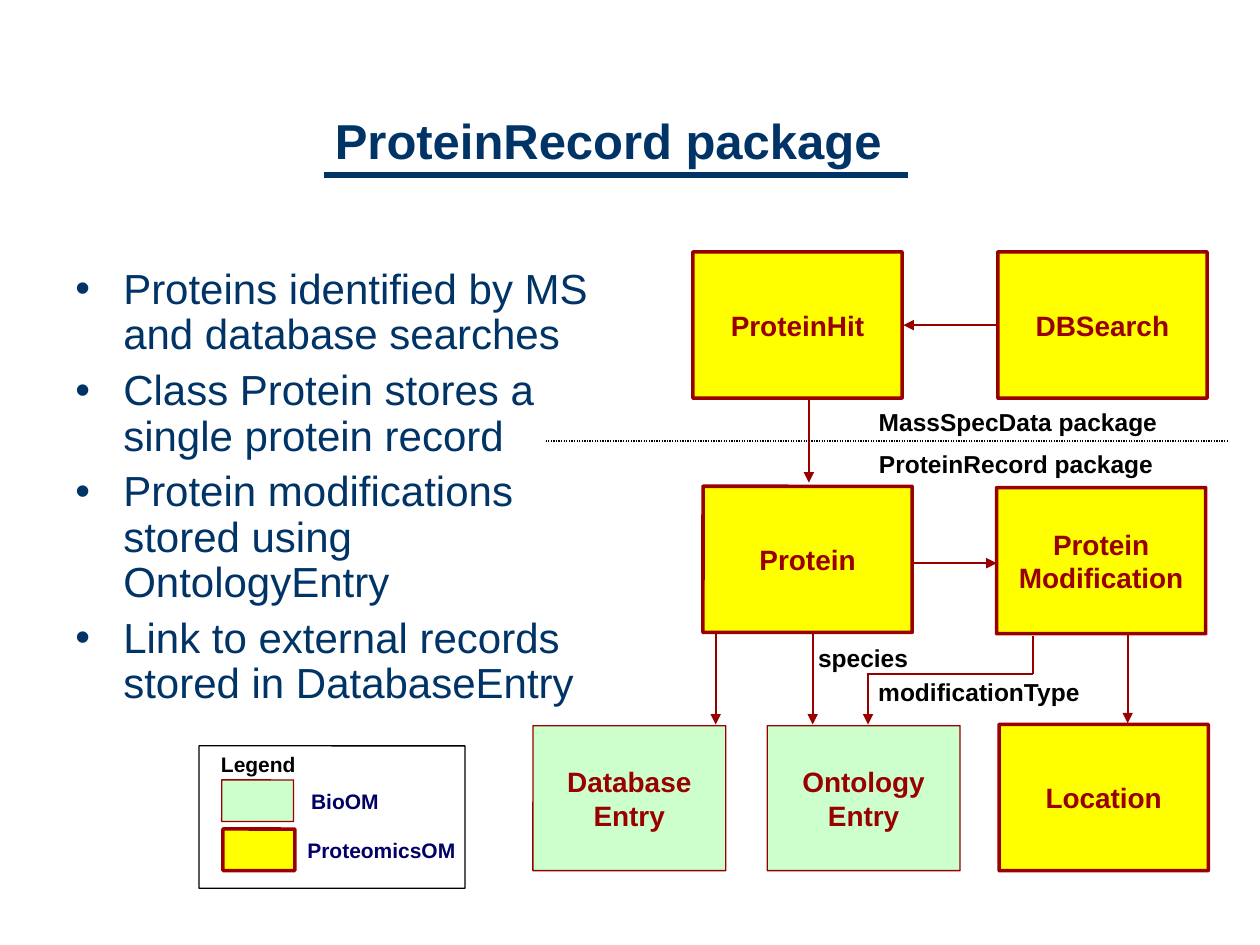
from pptx import Presentation
from pptx.dml.color import RGBColor
from pptx.enum.dml import MSO_LINE
from pptx.enum.shapes import MSO_CONNECTOR, MSO_SHAPE
from pptx.enum.text import MSO_ANCHOR, PP_ALIGN
from pptx.oxml.ns import qn
from pptx.util import Inches, Pt
from lxml.etree import SubElement

NAVY = RGBColor(0x00, 0x33, 0x66)
INDIGO = RGBColor(0x00, 0x00, 0x66)
RED = RGBColor(0x99, 0x00, 0x00)
YELLOW = RGBColor(0xFF, 0xFF, 0x00)
GREEN = RGBColor(0xCC, 0xFF, 0xCC)
BLACK = RGBColor(0x00, 0x00, 0x00)

PROTEOMICS = {"fill": YELLOW, "line": RED, "weight": 2}
BIO = {"fill": GREEN, "line": RED, "weight": 0.75}
FRAME = {"fill": None, "line": BLACK, "weight": 0.75}

CLASS_FONT = {"size": Pt(16), "bold": True, "color": RED}
LABEL_FONT = {"size": Pt(14), "bold": True, "color": BLACK}
LEGEND_FONT = {"size": Pt(12), "bold": True, "color": BLACK}
ENTRY_FONT = {"size": Pt(12), "bold": True, "color": INDIGO}
TITLE_FONT = {"size": Pt(28), "bold": True, "color": NAVY}
BULLET_FONT = {"size": Pt(24), "bold": False, "color": NAVY}

CLASSES = [
    (5.5, 2, 1.66, 1.16, PROTEOMICS, ["ProteinHit"]),
    (7.92, 2, 1.66, 1.16, PROTEOMICS, ["DBSearch"]),
    (5.58, 3.86, 1.66, 1.16, PROTEOMICS, ["Protein"]),
    (7.91, 3.87, 1.66, 1.16, PROTEOMICS, ["Protein Modification"]),
    (4.23, 5.76, 1.53, 1.15, BIO, ["Database", "Entry"]),
    (6.09, 5.76, 1.53, 1.15, BIO, ["Ontology", "Entry"]),
    (7.93, 5.75, 1.66, 1.16, PROTEOMICS, ["Location"]),
]
ARROWS = [
    (7.92, 2.58, 7.17, 2.58),
    (6.42, 3.17, 6.42, 3.83),
    (7.24, 4.47, 7.91, 4.47),
    (5.68, 5.03, 5.68, 5.75),
    (6.45, 5.03, 6.45, 5.75),
    (6.89, 5.35, 6.89, 5.75),
    (8.95, 5.03, 8.95, 5.74),
]
ELBOW_LINES = [(8.2, 5.05, 8.2, 5.35), (8.2, 5.35, 6.88, 5.35)]
LABELS = [
    (6.96, 3.2, 2.24, "MassSpecData package"),
    (6.96, 3.53, 2.21, "ProteinRecord package"),
    (6.48, 5.07, 0.74, "species"),
    (6.95, 5.34, 1.64, "modificationType"),
]
LEGEND = [
    (1.76, 6.19, BIO, 2.46, 0.56, "BioOM"),
    (1.77, 6.58, PROTEOMICS, 2.43, 1.2, "ProteomicsOM"),
]
BULLETS = [
    "Proteins identified by MS and database searches",
    "Class Protein stores a single protein record",
    "Protein modifications stored using OntologyEntry",
    "Link to external records stored in DatabaseEntry",
]


def write(frame, lines, font, align, anchor, margins, wrap=True):
    across, down = (Inches(margin) for margin in margins)
    frame_format = {
        "margin_left": across, "margin_right": across,
        "margin_top": down, "margin_bottom": down,
        "vertical_anchor": anchor, "word_wrap": wrap,
    }
    for name, value in frame_format.items():
        setattr(frame, name, value)
    for index, line in enumerate(lines):
        para = frame.add_paragraph() if index else frame.paragraphs[0]
        para.alignment = align
        span = para.add_run()
        span.text = line
        span.font.name = "Arial"
        for name, value in font.items():
            if name == "color":
                span.font.color.rgb = value
            else:
                setattr(span.font, name, value)


def add_box(page, left, top, width, height, style, lines=()):
    box = page.shapes.add_shape(
        MSO_SHAPE.ROUNDED_RECTANGLE,
        Inches(left), Inches(top), Inches(width), Inches(height))
    box.adjustments[0] = 0.001
    box.shadow.inherit = False
    if style["fill"] is None:
        box.fill.background()
    else:
        box.fill.solid()
        box.fill.fore_color.rgb = style["fill"]
    box.line.color.rgb = style["line"]
    box.line.width = Pt(style["weight"])
    if lines:
        write(box.text_frame, lines, CLASS_FONT, PP_ALIGN.CENTER,
              MSO_ANCHOR.MIDDLE, (0.07, 0.03))


def add_line(page, points, color=RED, weight=1.25, arrow=False, dash=None):
    line = page.shapes.add_connector(
        MSO_CONNECTOR.STRAIGHT, *(Inches(point) for point in points))
    line.line.color.rgb = color
    line.line.width = Pt(weight)
    if dash:
        line.line.dash_style = dash
    if arrow:
        SubElement(line.line._get_or_add_ln(), qn("a:tailEnd"),
                   type="triangle", w="med", len="med")
    SubElement(line._element.spPr, qn("a:effectLst"))


def add_text(page, left, top, width, height, lines, font,
             align=PP_ALIGN.LEFT, anchor=MSO_ANCHOR.MIDDLE,
             margins=(0.01, 0.03), wrap=False):
    box = page.shapes.add_textbox(
        Inches(left), Inches(top), Inches(width), Inches(height))
    write(box.text_frame, lines, font, align, anchor, margins, wrap)
    return box


def add_bullets(page):
    box = add_text(page, 0.5, 2.08, 4.42, 4.5, BULLETS, BULLET_FONT,
                   anchor=MSO_ANCHOR.TOP, margins=(0.1, 0.05), wrap=True)
    for para in box.text_frame.paragraphs:
        para.line_spacing = 0.9
        para.space_before = Pt(6)
        properties = para._p.get_or_add_pPr()
        properties.set("marL", str(Inches(0.38)))
        properties.set("indent", str(Inches(-0.38)))
        color = SubElement(properties, qn("a:buClr"))
        SubElement(color, qn("a:srgbClr"), val=str(NAVY))
        SubElement(properties, qn("a:buFont"), typeface="Arial")
        SubElement(properties, qn("a:buChar"), char="•")


def add_legend(page):
    add_box(page, 1.58, 5.92, 2.11, 1.13, FRAME)
    add_text(page, 1.74, 5.93, 0.62, 0.27, ["Legend"], LEGEND_FONT,
             PP_ALIGN.CENTER)
    for left, top, style, text_left, text_width, name in LEGEND:
        add_box(page, left, top, 0.57, 0.33, style)
        add_text(page, text_left, top + 0.03, text_width, 0.27, [name],
                 ENTRY_FONT)


def add_diagram(page):
    for points in ARROWS:
        add_line(page, points, arrow=True)
    for points in ELBOW_LINES:
        add_line(page, points)
    add_line(page, (4.33, 3.5, 9.75, 3.5), BLACK, 0.75,
             dash=MSO_LINE.ROUND_DOT)
    for left, top, width, height, style, lines in CLASSES:
        add_box(page, left, top, width, height, style, lines)
    for left, top, width, text in LABELS:
        add_text(page, left, top, width, 0.3, [text], LABEL_FONT,
                 PP_ALIGN.CENTER)


def main():
    deck = Presentation()
    deck.slide_width = Inches(10)
    deck.slide_height = Inches(7.5)
    page = deck.slides.add_slide(deck.slide_layouts[6])
    add_text(page, 2.56, 0.83, 4.54, 0.57, ["ProteinRecord package"],
             TITLE_FONT, anchor=MSO_ANCHOR.TOP, margins=(0.1, 0.05))
    add_line(page, (2.57, 1.39, 7.21, 1.39), NAVY, 3)
    add_bullets(page)
    add_diagram(page)
    add_legend(page)
    deck.save("out.pptx")


main()
